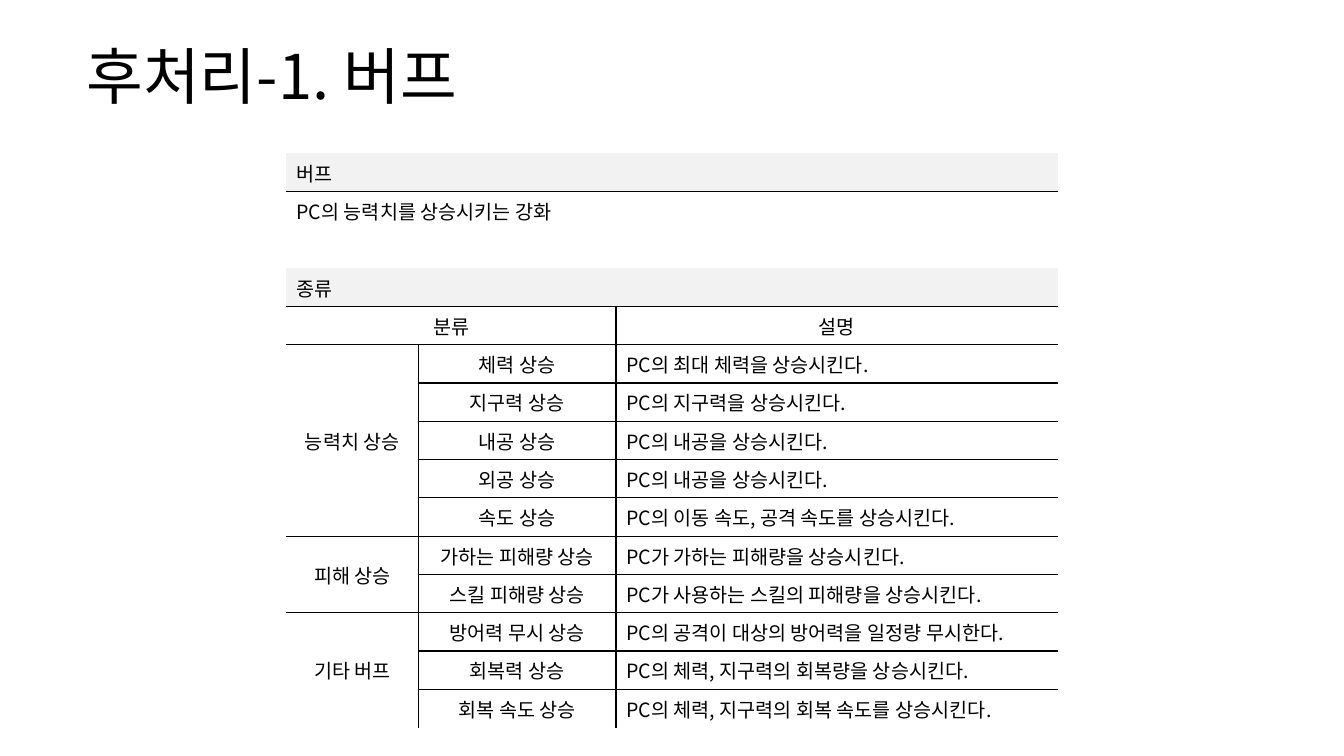
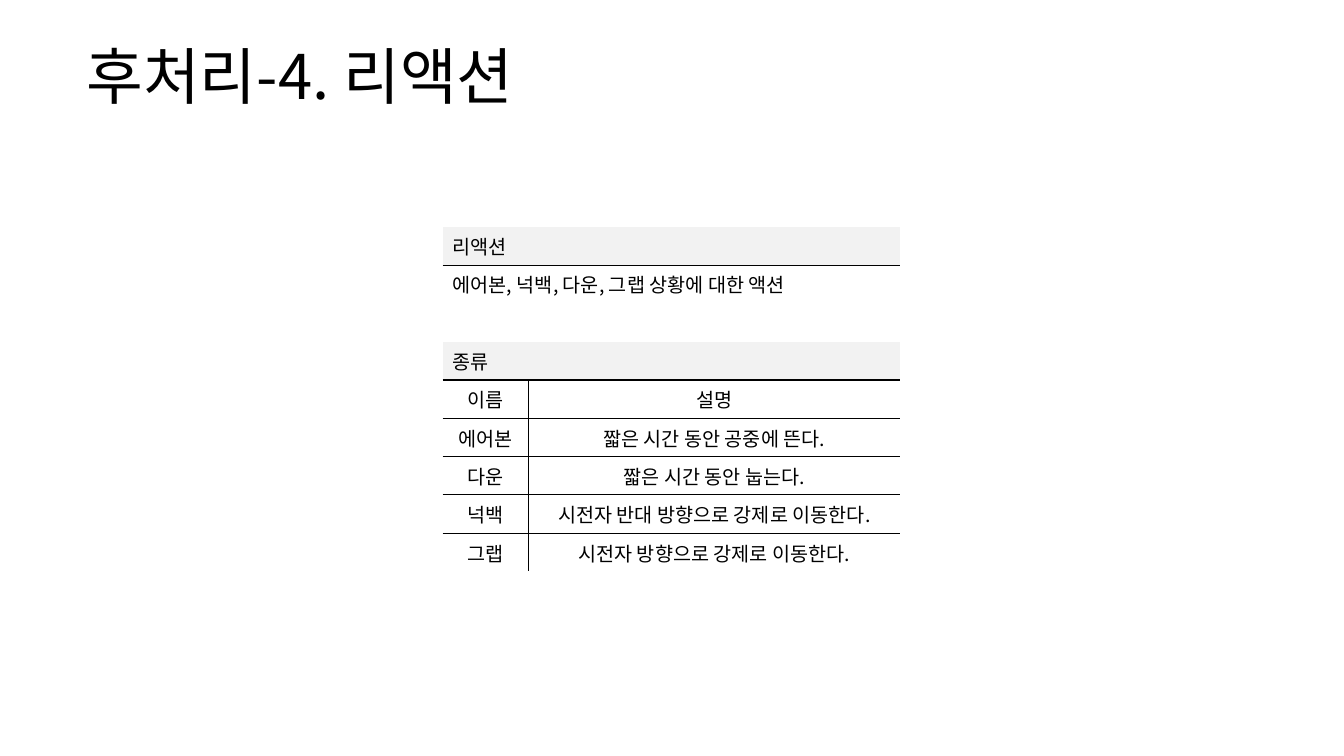
from lxml import etree
from pptx import Presentation
from pptx.dml.color import RGBColor
from pptx.enum.text import MSO_ANCHOR, PP_ALIGN
from pptx.oxml.ns import qn
from pptx.util import Inches, Pt

LEFT, CENTER = PP_ALIGN.LEFT, PP_ALIGN.CENTER
TOP, MIDDLE = MSO_ANCHOR.TOP, MSO_ANCHOR.MIDDLE

# Shared style
FONT = "Noto Sans CJK KR"
INK, BAND = "000000", "F2F2F2"
ROW = 0.38
BANDS = (0, 3)  # shaded heading rows
HEAD = 4        # row of column headings; rows above it span the table
OPEN = (1, 2)   # rows with no line below


def write(box, text, size=14, color=INK, align=LEFT, spacing=None):
    para = box.text_frame.paragraphs[0]
    para.alignment = align
    if spacing:
        para.line_spacing = spacing
    if not text:
        etree.SubElement(para._p, qn("a:endParaRPr"), sz=str(size * 100))
        return
    run = para.add_run()
    run.text = text
    run.font.name = FONT
    run.font.size = Pt(size)
    run.font.color.rgb = RGBColor.from_string(color)
    etree.SubElement(run.font._element, qn("a:ea"), typeface=FONT)


def rule(cell, side, shown):
    line = etree.SubElement(cell._tc.get_or_add_tcPr(), qn("a:ln" + side), w="12700")
    if shown:
        fill = etree.SubElement(line, qn("a:solidFill"))
        etree.SubElement(fill, qn("a:srgbClr"), val=INK)
    else:
        etree.SubElement(line, qn("a:noFill"))


# Content: merges are (top row, left column, bottom row, right column)
pages = [
    dict(
        title="후처리-1. 버프", at=(2.84, 1.52), cols=(1.31, 1.96, 4.38), last=LEFT,
        merges=[(4, 0, 4, 1), (5, 0, 9, 0), (10, 0, 11, 0), (12, 0, 14, 0)],
        rows=[
            ("버프", "", ""),
            ("PC의 능력치를 상승시키는 강화", "", ""),
            ("", "", ""),
            ("종류", "", ""),
            ("분류", "", "설명"),
            ("능력치 상승", "체력 상승", "PC의 최대 체력을 상승시킨다."),
            ("", "지구력 상승", "PC의 지구력을 상승시킨다."),
            ("", "내공 상승", "PC의 내공을 상승시킨다."),
            ("", "외공 상승", "PC의 내공을 상승시킨다."),
            ("", "속도 상승", "PC의 이동 속도, 공격 속도를 상승시킨다."),
            ("피해 상승", "가하는 피해량 상승", "PC가 가하는 피해량을 상승시킨다."),
            ("", "스킬 피해량 상승", "PC가 사용하는 스킬의 피해량을 상승시킨다."),
            ("기타 버프", "방어력 무시 상승", "PC의 공격이 대상의 방어력을 일정량 무시한다."),
            ("", "회복력 상승", "PC의 체력, 지구력의 회복량을 상승시킨다."),
            ("", "회복 속도 상승", "PC의 체력, 지구력의 회복 속도를 상승시킨다."),
        ],
    ),
    dict(
        title="후처리-4. 리액션", at=(4.39, 2.25), cols=(0.85, 3.69), last=CENTER,
        merges=[],
        rows=[
            ("리액션", ""),
            ("에어본, 넉백, 다운, 그랩 상황에 대한 액션", ""),
            ("", ""),
            ("종류", ""),
            ("이름", "설명"),
            ("에어본", "짧은 시간 동안 공중에 뜬다."),
            ("다운", "짧은 시간 동안 눕는다."),
            ("넉백", "시전자 반대 방향으로 강제로 이동한다."),
            ("그랩", "시전자 방향으로 강제로 이동한다."),
        ],
    ),
]

deck = Presentation()
deck.slide_width, deck.slide_height = Inches(13.33), Inches(7.5)

for page in pages:
    slide = deck.slides.add_slide(deck.slide_layouts[6])

    # Title
    title = slide.shapes.add_textbox(Inches(0.76), Inches(0.32), Inches(11.81), Inches(0.94))
    title.text_frame.word_wrap = True
    title.text_frame.vertical_anchor = MIDDLE
    write(title, page["title"], size=44, spacing=0.9)

    # Table grid
    rows, cols = page["rows"], page["cols"]
    high, wide = len(rows), len(cols)
    left, top = page["at"]
    table = slide.shapes.add_table(
        high, wide, Inches(left), Inches(top), Inches(sum(cols)), Inches(ROW * high)).table
    table.first_row = table.horz_banding = False
    for col, width in zip(table.columns, cols):
        col.width = Inches(width)

    # Merged cells, each grid place mapped to its first cell
    owner = {(r, c): (r, c) for r in range(high) for c in range(wide)}
    full = [(r, 0, r, wide - 1) for r in range(HEAD)]
    for r1, c1, r2, c2 in full + page["merges"]:
        table.cell(r1, c1).merge(table.cell(r2, c2))
        for r in range(r1, r2 + 1):
            for c in range(c1, c2 + 1):
                owner[r, c] = (r1, c1)

    # Lines run between neighbours that are not merged
    across = {(r, c) for r, c in owner if r + 1 < high and r not in OPEN
              and owner[r, c] != owner[r + 1, c]}
    down = {(r, c) for r, c in owner if c + 1 < wide
            and owner[r, c] != owner[r, c + 1]}

    for r, c in owner:
        cell = table.cell(r, c)
        rule(cell, "L", (r, c - 1) in down)
        rule(cell, "R", (r, c) in down)
        rule(cell, "T", (r - 1, c) in across)
        rule(cell, "B", (r, c) in across)
        if r in BANDS:
            cell.fill.solid()
            cell.fill.fore_color.rgb = RGBColor.from_string(BAND)
        else:
            cell.fill.background()
        cell.vertical_anchor = TOP if r < HEAD else MIDDLE
        if r < HEAD:
            align = LEFT
        elif r > HEAD and c == wide - 1:
            align = page["last"]
        else:
            align = CENTER
        write(cell, rows[r][c], align=align)

deck.save("out.pptx")
